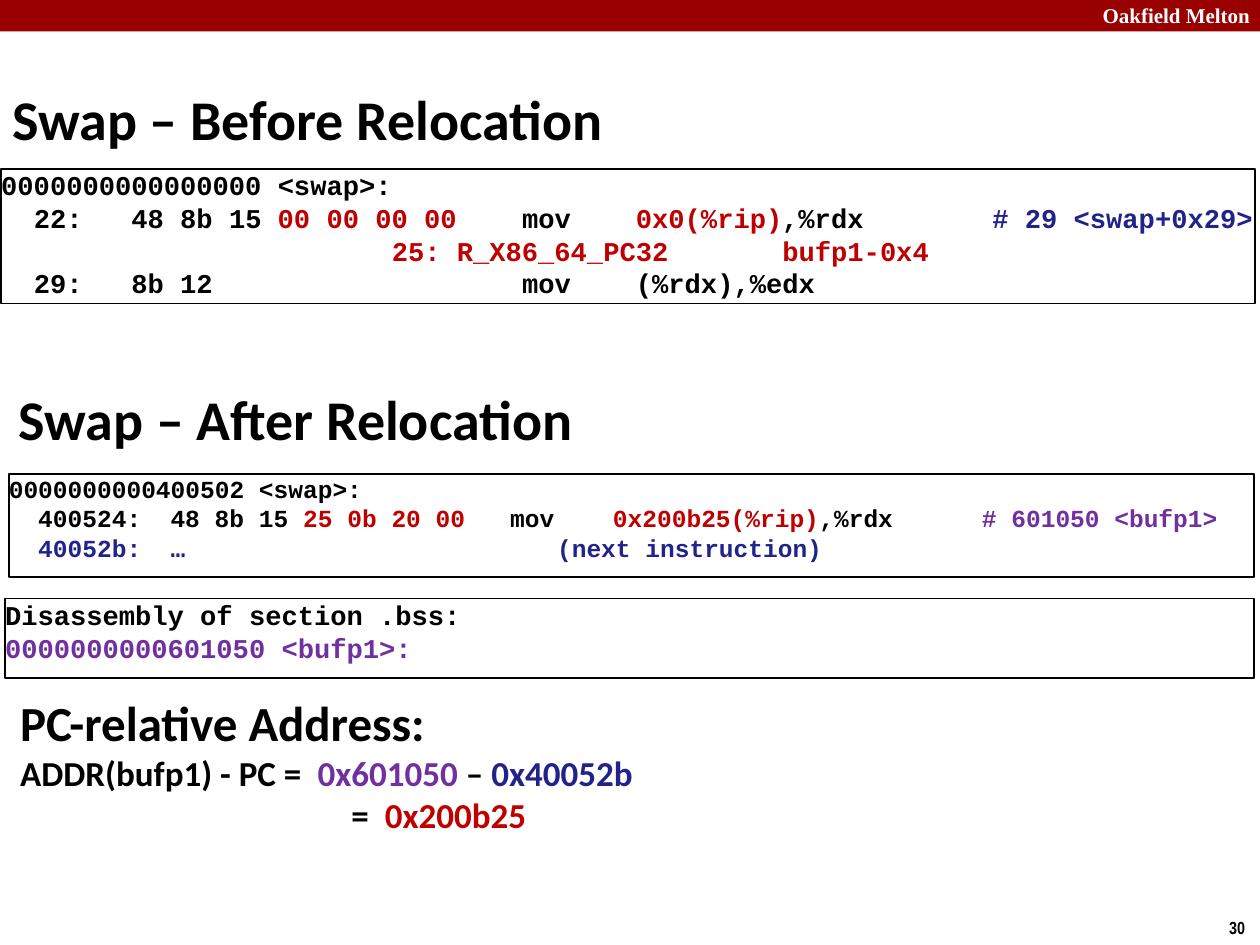
import pptx
import pptx.util
import pptx.dml.color
import pptx.enum.shapes
import pptx.enum.text
import lxml.etree

Inches, Pt = pptx.util.Inches, pptx.util.Pt
RGB = pptx.dml.color.RGBColor.from_string
MIDDLE = pptx.enum.text.MSO_ANCHOR.MIDDLE
RIGHT = pptx.enum.text.PP_ALIGN.RIGHT
COLORS = {"bar": "990000", "black": "000000", "white": "FFFFFF",
          "red": "C00000", "blue": "22228B", "purple": "7030A0"}
NS = "http://schemas.openxmlformats.org/drawingml/2006/main"

prs = pptx.Presentation()
prs.slide_width, prs.slide_height = Inches(10), Inches(7.5)
slide = prs.slides.add_slide(prs.slide_layouts[6])


def add_line(tf, runs, font, size, color="black", tabs=()):
    """Append a bold paragraph of (text, colour) runs; tabs in inches."""
    p = tf.paragraphs[0] if not tf.paragraphs[0].runs else tf.add_paragraph()
    if tabs:
        tab_list = lxml.etree.SubElement(p._p.get_or_add_pPr(), f"{{{NS}}}tabLst")
        for pos in tabs:
            lxml.etree.SubElement(tab_list, f"{{{NS}}}tab", pos=str(int(Inches(pos))), algn="l")
    p.font.name, p.font.size, p.font.bold = font, Pt(size), True
    p.font.color.rgb = RGB(COLORS[color])
    for text, run_color in runs:
        r = p.add_run()
        r.text = text
        if run_color != color:
            r.font.color.rgb = RGB(COLORS[run_color])
    return p


def add_box(left, top, width, height, inset=None):
    """Add a wrapping text box and return its shape."""
    sp = slide.shapes.add_textbox(*map(Inches, (left, top, width, height)))
    tf = sp.text_frame
    tf.word_wrap = True
    if inset is not None:
        tf.margin_left = tf.margin_right = tf.margin_top = tf.margin_bottom = Inches(inset)
    return sp


# Header bar
bar = slide.shapes.add_shape(pptx.enum.shapes.MSO_SHAPE.RECTANGLE, 0, 0, prs.slide_width, Inches(0.25))
bar.shadow.inherit = False
bar.fill.solid()
bar.fill.fore_color.rgb = RGB(COLORS["bar"])
bar.line.fill.background()

# Header name and page number
for box, text, font, size, color in [
    ((8.5, -0.03, 1.52, 0.3), "Oakfield Melton", "Times New Roman", 12, "white"),
    ((9.5, 7.23, 0.48, 0.27), "30", "Arial Narrow", 10, "black"),
]:
    tf = add_box(*box).text_frame
    add_line(tf, [(text, color)], font, size, color).alignment = RIGHT

# Headings
for left, top, text in [(0, 0.68, "Swap – Before Relocation"),
                        (0.05, 3.06, "Swap – After Relocation")]:
    tf = add_box(left, top, 8.35, 0.52).text_frame
    tf.vertical_anchor = MIDDLE
    add_line(tf, [(text, "black")], "Calibri", 32)

# Code listings: box, size, lines of (runs, tab stops in characters)
listings = [
    ((0.01, 1.34, 9.95, 1.07), 15.5, [
        ([("0000000000000000 <swap>:", "black")], ()),
        ([("\t22:\t48 8b 15 ", "black"), ("00 00 00 00", "red"), ("\tmov\t", "black"),
          ("0x0(%rip)", "red"), (",%rdx\t", "black"), ("# 29 <swap+0x29>", "blue")],
         (2, 8, 32, 39, 60.9)),
        ([("\t25: R_X86_64_PC32\tbufp1-0x4", "red")], (24, 48)),
        ([("\t29:\t8b 12\tmov\t(%rdx),%edx", "black")], (2, 8, 32, 39)),
    ]),
    ((0.07, 3.76, 9.88, 0.82), 14, [
        ([("0000000000400502 <swap>:", "black")], ()),
        ([("\t400524:\t48 8b 15 ", "black"), ("25 0b 20 00", "red"), ("\tmov\t", "black"),
          ("0x200b25(%rip)", "red"), (",%rdx\t", "black"), ("# 601050 <bufp1>", "purple")],
         (2, 11, 34.1, 41.1, 66.2)),
        ([("\t40052b:\t…\t(next instruction)", "blue")], (2, 11, 37.3)),
    ]),
    ((0.04, 4.75, 9.91, 0.63), 15.5, [
        ([("Disassembly of section .bss:", "black")], ()),
        ([("0000000000601050 <bufp1>:", "purple")], ()),
    ]),
]
for box, size, lines in listings:
    sp = add_box(*box, inset=0)
    sp.line.color.rgb = RGB(COLORS["black"])
    sp.line.width = Pt(1)
    char_width = 0.6 * size / 72
    for runs, columns in lines:
        add_line(sp.text_frame, runs, "Courier New", size, tabs=[c * char_width for c in columns])

# Address calculation
tf = add_box(0.16, 5.5, 9.26, 1.14, inset=0).text_frame
add_line(tf, [("PC-relative Address:", "black")], "Calibri", 28)
add_line(tf, [("ADDR(bufp1) - PC =  ", "black"), ("0x601050", "purple"),
              (" – ", "black"), ("0x40052b", "blue")], "Calibri", 20)
add_line(tf, [("\t=  ", "black"), ("0x200b25", "red")], "Calibri", 20, tabs=[2.63])

prs.save("out.pptx")
